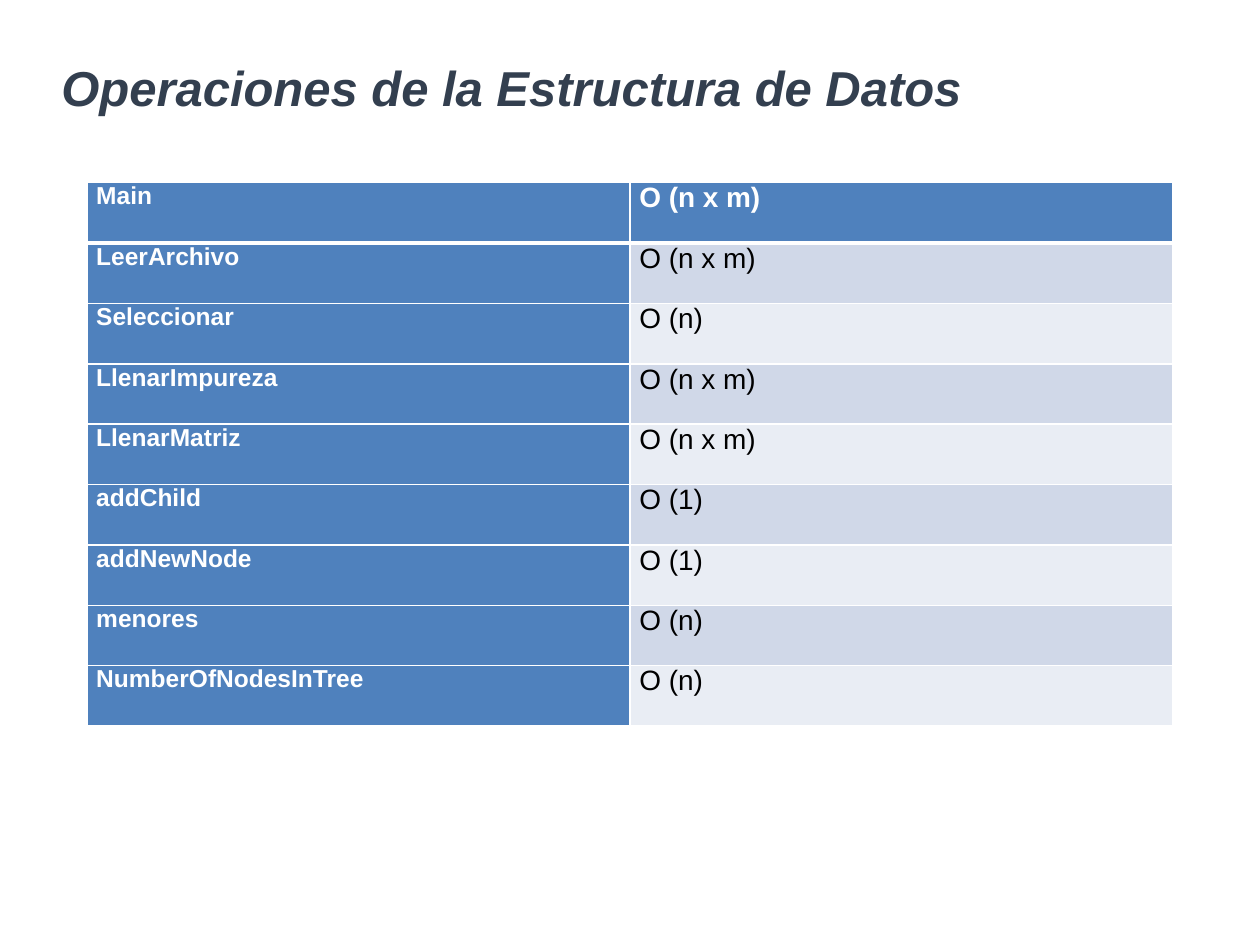
from dataclasses import dataclass

from lxml import etree
from pptx import Presentation
from pptx.dml.color import RGBColor
from pptx.enum.text import MSO_ANCHOR, PP_ALIGN
from pptx.oxml.ns import qn
from pptx.util import Pt

MIDDLE = MSO_ANCHOR.MIDDLE
JUSTIFY = PP_ALIGN.JUSTIFY
FONT = "Arial"
WHITE, BLACK, SLATE = "FFFFFF", "000000", "333F4F"
BLUE = "4F81BD"
BANDS = ("D0D8E8", "E9EDF4")
COL_W, ROW_H = 310.4, 34.5


@dataclass
class Operation:
    name: str
    cost: str


OPERATIONS = [
    Operation("Main", "O (n x m)"),
    Operation("LeerArchivo", "O (n x m)"),
    Operation("Seleccionar", "O (n)"),
    Operation("LlenarImpureza", "O (n x m)"),
    Operation("LlenarMatriz", "O (n x m)"),
    Operation("addChild", "O (1)"),
    Operation("addNewNode", "O (1)"),
    Operation("menores", "O (n)"),
    Operation("NumberOfNodesInTree", "O (n)"),
]


def rgb(color: str) -> RGBColor:
    return RGBColor.from_string(color)


def style_font(p, size: float, color: str, bold: bool, italic: bool = False) -> None:
    font = p.font
    font.name, font.size = FONT, Pt(size)
    font.bold, font.italic = bold, italic
    font.color.rgb = rgb(color)


def set_borders(cell, top: float, bottom: float) -> None:
    """Draw white borders; must run before the cell gets its fill."""
    tc_pr = cell._tc.get_or_add_tcPr()
    for side, width in (("L", 1), ("R", 1), ("T", top), ("B", bottom)):
        ln = etree.SubElement(tc_pr, qn(f"a:ln{side}"), w=str(Pt(width)))
        fill = etree.SubElement(ln, qn("a:solidFill"))
        etree.SubElement(fill, qn("a:srgbClr"), val=WHITE)


def fill_cell(cell, text: str, row: int, size: float, fill: str) -> None:
    set_borders(cell, top=3 if row == 1 else 1, bottom=3 if row == 0 else 1)
    cell.fill.solid()
    cell.fill.fore_color.rgb = rgb(fill)
    cell.margin_left = cell.margin_right = Pt(5.4)
    cell.margin_top = cell.margin_bottom = Pt(0)
    p = cell.text_frame.paragraphs[0]
    p.text = text
    p.alignment = JUSTIFY
    p.space_after = Pt(6)
    on_blue = fill == BLUE
    style_font(p, size, WHITE if on_blue else BLACK, bold=on_blue)


def add_title(slide, text: str) -> None:
    tf = slide.shapes.add_textbox(Pt(28), Pt(27.4), Pt(620.6), Pt(48.2)).text_frame
    tf.word_wrap = True
    tf.vertical_anchor = MIDDLE
    p = tf.paragraphs[0]
    p.text = text
    p.line_spacing = 0.9
    style_font(p, 28, SLATE, bold=True, italic=True)


def add_operations_table(slide, operations: list[Operation]) -> None:
    rows = len(operations)
    table = slide.shapes.add_table(
        rows, 2, Pt(49.6), Pt(104.4), Pt(2 * COL_W), Pt(rows * ROW_H)
    ).table
    for row, operation in enumerate(operations):
        cost_fill = BANDS[(row - 1) % 2] if row else BLUE
        fill_cell(table.cell(row, 0), operation.name, row, 14, BLUE)
        fill_cell(table.cell(row, 1), operation.cost, row, 16, cost_fill)


def main() -> None:
    prs = Presentation()
    prs.slide_width, prs.slide_height = Pt(720), Pt(540)
    slide = prs.slides.add_slide(prs.slide_layouts[6])
    add_title(slide, "Operaciones de la Estructura de Datos")
    add_operations_table(slide, OPERATIONS)
    prs.save("out.pptx")


if __name__ == "__main__":
    main()
